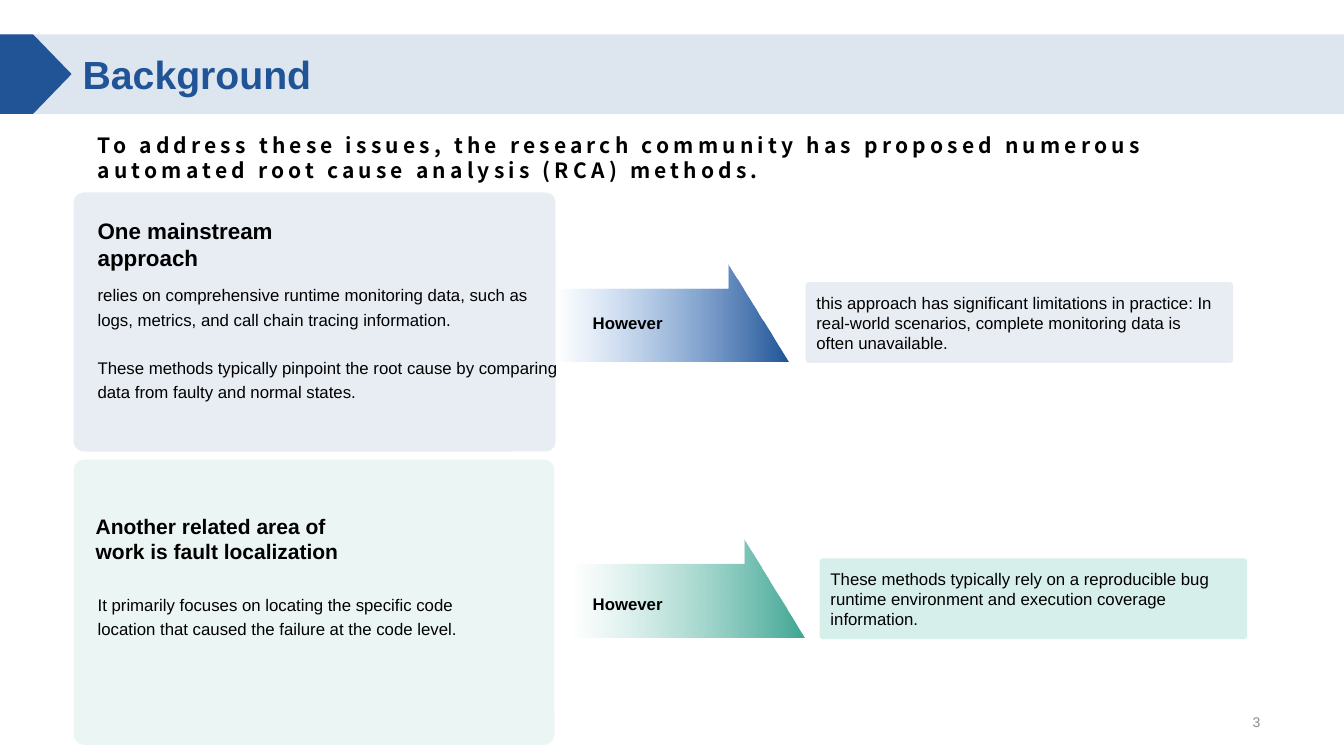
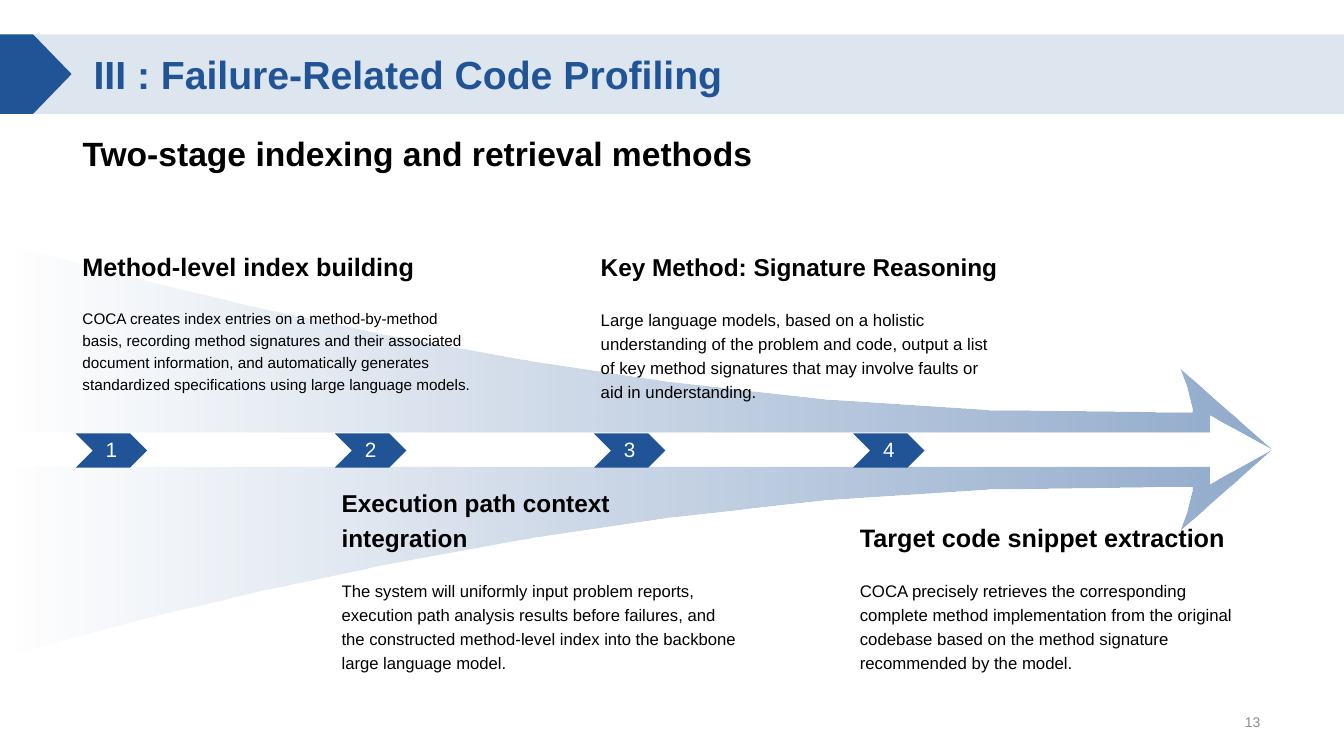
from dataclasses import dataclass

from lxml import etree
from pptx import Presentation
from pptx import util as u
from pptx.dml.color import RGBColor
from pptx.enum import shapes, text
from pptx.oxml.ns import qn


@dataclass(frozen=True)
class Theme:
    blue: str = "205497"
    sky: str = "5D95DD"
    green: str = "40A693"
    mint: str = "86D0C2"
    pale_green: str = "D7EFEB"
    black: str = "000000"
    white: str = "FFFFFF"
    gray: str = "8C8C8C"
    font: str = "Arial"
    lead_font: str = "Noto Sans CJK SC"
    title: float = 28
    subtitle: float = 24
    lead: float = 15
    body: float = 12
    step: float = 14.8
    number: float = 10


THEME = Theme()
SHAPE = shapes.MSO_SHAPE
ANCHOR = text.MSO_ANCHOR
ALIGN = text.PP_ALIGN
CORNER = 0.038


# Shared helpers
def set_alpha(color_element, percent):
    alpha = etree.SubElement(color_element, qn("a:alpha"))
    alpha.set("val", str(percent * 1000))


def fill_solid(shape, color, percent=100):
    shape.shadow.inherit = False
    shape.fill.solid()
    shape.fill.fore_color.rgb = RGBColor.from_string(color)
    shape.line.fill.background()
    if percent < 100:
        set_alpha(next(shape.element.iter(qn("a:srgbClr"))), percent)


def fill_fade(shape, start, end, end_percent=100):
    """Fade from a clear left edge to the end colour at the right."""
    shape.shadow.inherit = False
    shape.line.fill.background()
    shape.fill.gradient()
    shape.fill.gradient_angle = 0
    for stop, color in zip(shape.fill.gradient_stops, (start, end)):
        stop.color.rgb = RGBColor.from_string(color)
    for element, percent in zip(shape.element.iter(qn("a:srgbClr")), (0, end_percent)):
        set_alpha(element, percent)


def write(shape, paragraphs, size, color=THEME.black, bold=False, font=THEME.font,
          anchor=ANCHOR.TOP, align=ALIGN.LEFT, spacing=None, gap=0, wrap=True):
    frame = shape.text_frame
    frame.word_wrap = wrap
    frame.auto_size = text.MSO_AUTO_SIZE.NONE
    frame.vertical_anchor = anchor
    for index, words in enumerate(paragraphs):
        para = frame.add_paragraph() if index else frame.paragraphs[0]
        para.text = words
        para.alignment = align
        if spacing:
            para.line_spacing = spacing
        if index and gap:
            para.space_before = u.Pt(gap)
        para.font.name = font
        para.font.size = u.Pt(size)
        para.font.bold = bold
        para.font.color.rgb = RGBColor.from_string(color)
    return shape


def add_text(page, box, paragraphs, size, **style):
    return write(page.shapes.add_textbox(*map(u.Inches, box)), paragraphs, size, **style)


def add_block(page, kind, box, color, percent=100, adjust=None):
    block = page.shapes.add_shape(kind, *map(u.Inches, box))
    if adjust is not None:
        block.adjustments[0] = adjust
    fill_solid(block, color, percent)
    return block


def add_outline(page, contours):
    builder = None
    for contour in contours:
        points = [(u.Inches(x), u.Inches(y)) for x, y in contour]
        if builder is None:
            builder = page.shapes.build_freeform(*points[0])
        else:
            builder.move_to(*points[0])
        builder.add_line_segments(points[1:], close=True)
    return builder.convert_to_shape()


def add_page(deck, title, number):
    page = deck.slides.add_slide(deck.slide_layouts[5])
    # Title band and its pointer
    add_block(page, SHAPE.RECTANGLE, (0, 0.34, 13.33, 0.79), THEME.blue, 15)
    add_block(page, SHAPE.PENTAGON, (0, 0.34, 0.71, 0.79), THEME.blue, adjust=0.539)
    # Title, raised above the band
    heading = page.shapes.title
    heading.left, heading.top, heading.width, heading.height = map(
        u.Inches, (0.72, 0.42, 11.88, 0.63))
    write(heading, [title], THEME.title, color=THEME.blue, bold=True, anchor=ANCHOR.MIDDLE)
    page.shapes.element.append(heading.element)
    # Page number
    add_text(page, (8.6, 7.01, 4, 0.3), [number], THEME.number, color=THEME.gray,
             anchor=ANCHOR.MIDDLE, align=ALIGN.RIGHT)
    return page


# Background slide: each row is a panel, an arrow and a callout
@dataclass(frozen=True)
class Row:
    panel: tuple
    color: str
    fade_start: str
    callout_fill: tuple
    heading: str
    heading_size: float
    heading_box: tuple  # boxes and points are relative to the panel
    body: list
    body_box: tuple
    arrow: tuple
    label_top: float
    callout: str
    callout_at: tuple


ROWS = [
    Row((0.73, 1.91, 4.78, 2.57), THEME.blue, THEME.sky, (THEME.blue, 10),
        "One mainstream approach", 16, (0.14, 0, 2.07, 0.83),
        ["relies on comprehensive runtime monitoring data, such as logs, metrics, "
         "and call chain tracing information.",
         "These methods typically pinpoint the root cause by comparing data from "
         "faulty and normal states."],
        (0.14, 0.83, 4.8, 1.89), (4.78, 0.71), 0.96,
        "this approach has significant limitations in practice: In real-world "
        "scenarios, complete monitoring data is often unavailable.", (7.26, 0.89)),
    Row((0.73, 4.56, 4.77, 2.83), THEME.green, THEME.mint, (THEME.pale_green, 100),
        "Another related area of work is fault localization", 15, (0.12, 0.25, 2.82, 0.83),
        ["It primarily focuses on locating the specific code location that caused "
         "the failure at the code level."],
        (0.14, 1.25, 4.01, 1.89), (4.94, 0.79), 1.1,
        "These methods typically rely on a reproducible bug runtime environment "
        "and execution coverage information.", (7.4, 0.98)),
]
ARROW_POINTS = [(1.71, 0), (2.31, 0.97), (0, 0.97), (0, 0.24), (1.71, 0.24)]


def add_row(page, row):
    left, top, _, _ = row.panel

    def place(x, y, width, height):
        return left + x, top + y, width, height

    add_block(page, SHAPE.ROUNDED_RECTANGLE, row.panel, row.color, 10, CORNER)
    # Arrow with its label
    arrow_x, arrow_y = row.arrow
    arrow = add_outline(page, [[(left + arrow_x + x, top + arrow_y + y)
                                for x, y in ARROW_POINTS]])
    fill_fade(arrow, row.fade_start, row.color)
    add_text(page, place(5.05, row.label_top, 1.78, 0.66), ["However"], THEME.body,
             bold=True, anchor=ANCHOR.MIDDLE)
    # Panel text
    add_text(page, place(*row.heading_box), [row.heading], row.heading_size,
             bold=True, anchor=ANCHOR.BOTTOM)
    add_text(page, place(*row.body_box), row.body, THEME.body, spacing=1.2, gap=17)
    # Callout beyond the arrow
    callout = add_block(page, SHAPE.ROUNDED_RECTANGLE, place(*row.callout_at, 4.24, 0.8),
                        *row.callout_fill, adjust=CORNER)
    write(callout, [row.callout], THEME.body, anchor=ANCHOR.MIDDLE)


def build_background(deck):
    page = add_page(deck, "Background", "3")
    # Lead sentence with wide letter spacing
    lead = add_text(page, (0.87, 1.29, 11.88, 0.55),
                    ["To address these issues, the research community has proposed "
                     "numerous automated root cause analysis (RCA) methods."],
                    THEME.lead, bold=True, font=THEME.lead_font, anchor=ANCHOR.MIDDLE)
    for properties in lead.element.iter(qn("a:rPr"), qn("a:defRPr")):
        properties.set("spc", "300")
    for row in ROWS:
        add_row(page, row)


# Profiling slide: numbered steps along a tapering arrow
STEPS = [
    ("Method-level index building", 18,
     "COCA creates index entries on a method-by-method basis, recording method "
     "signatures and their associated document information, and automatically "
     "generates standardized specifications using large language models.", 10.9),
    ("Execution path context integration", 17.4,
     "The system will uniformly input problem reports, execution path analysis "
     "results before failures, and the constructed method-level index into the "
     "backbone large language model.", 11.9),
    ("Key Method: Signature Reasoning", 17.4,
     "Large language models, based on a holistic understanding of the problem and "
     "code, output a list of key method signatures that may involve faults or aid "
     "in understanding.", 12),
    ("Target code snippet extraction", 18,
     "COCA precisely retrieves the corresponding complete method implementation "
     "from the original codebase based on the method signature recommended by "
     "the model.", 12),
]


def curve(start, control_a, control_b, end, pieces):
    """Points along a cubic curve, without its start."""
    corners = (start, control_a, control_b, end)
    points = []
    for index in range(1, pieces + 1):
        t = index / pieces
        weights = ((1 - t) ** 3, 3 * t * (1 - t) ** 2, 3 * t * t * (1 - t), t ** 3)
        points.append(tuple(sum(w * c[axis] for w, c in zip(weights, corners))
                            for axis in (0, 1)))
    return points


def add_taper(page, axis):
    """Two mirrored halves around the horizontal axis."""
    half = [(12.61, 0), (11.7, 0.8)]
    half += curve(half[-1], (11.76, 0.68), (11.79, 0.55), (11.82, 0.41), 2)
    half += [(11.82, 0.37), (11.45, 0.37)]
    half += curve(half[-1], (5.96, 0.27), (0.35, 1.96), (0, 2.06), 10)
    half += [(0, 0.17), (11.99, 0.17), (11.99, 0.34)]
    taper = add_outline(page, [[(x, axis + side * y) for x, y in half] for side in (1, -1)])
    fill_fade(taper, THEME.blue, THEME.blue, 50)


def add_step(page, index, left, top, step):
    heading, heading_size, body, body_size = step
    marker = add_block(page, SHAPE.CHEVRON, (left + 0.03, 4.3, 0.71, 0.34), THEME.blue)
    write(marker, [str(index + 1)], THEME.step, color=THEME.white, anchor=ANCHOR.MIDDLE,
          align=ALIGN.CENTER, spacing=0.9, wrap=False)
    add_text(page, (left, top, 4.14, 0.53), [heading], heading_size, bold=True,
             anchor=ANCHOR.BOTTOM, spacing=1.2)
    add_text(page, (left, top + 0.67, 4.14, 1.04), [body], body_size, spacing=1.2)


def build_profiling(deck):
    page = add_page(deck, " III : Failure-Related Code Profiling", "13")
    add_taper(page, 4.46)
    add_text(page, (0.72, 1.24, 11.88, 0.56), ["Two-stage indexing and retrieval methods"],
             THEME.subtitle, bold=True, anchor=ANCHOR.MIDDLE)
    # Odd steps sit above the arrow, even steps below
    for index, step in enumerate(STEPS):
        add_step(page, index, 0.72 + 2.57 * index, (2.31, 5)[index % 2], step)


def main():
    deck = Presentation()
    deck.slide_width, deck.slide_height = u.Inches(13.33), u.Inches(7.5)
    build_background(deck)
    build_profiling(deck)
    deck.save("out.pptx")


if __name__ == "__main__":
    main()
